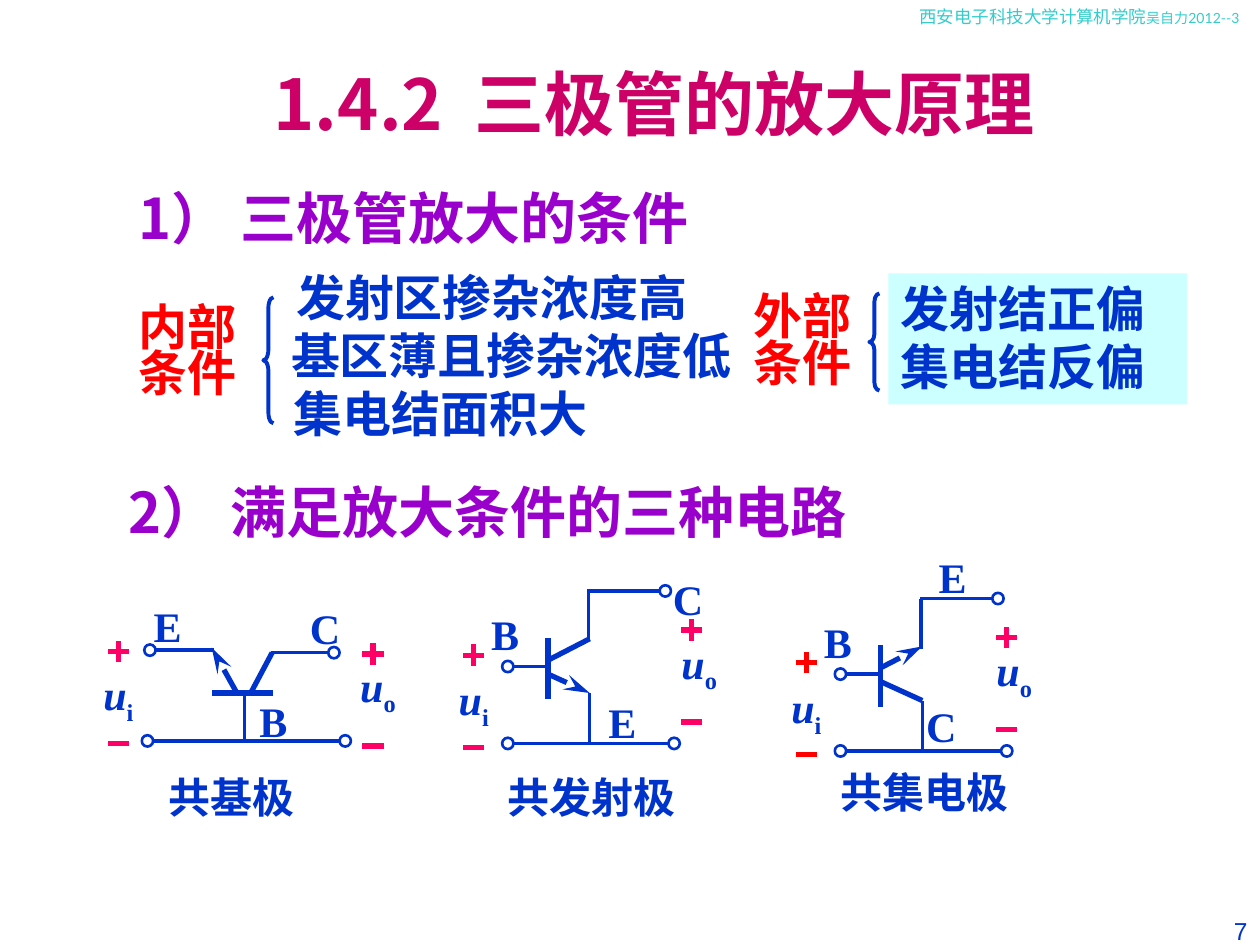
from pptx import Presentation
from pptx.dml.color import RGBColor
from pptx.enum.shapes import MSO_CONNECTOR, MSO_SHAPE
from pptx.enum.text import MSO_ANCHOR, MSO_AUTO_SIZE, PP_ALIGN
from pptx.oxml.ns import qn
from pptx.util import Inches, Pt
from lxml.etree import SubElement

HEX = {"blue": "0033CC", "red": "FF0000", "pink": "FF0066", "rose": "CC0066",
       "violet": "9900CC", "teal": "33CCCC", "ice": "CCFFFF", "white": "FFFFFF"}
SERIF, SANS = "Times New Roman", "Noto Sans CJK SC"
LEAD = 1.18  # line height as a share of the text size


def color(name):
    return RGBColor.from_string(HEX[name])


def style(run, size, tint, face=SERIF, bold=True):
    run.font.size, run.font.name, run.font.bold = Pt(size), face, bold
    run.font.color.rgb = color(tint)


def place(shape, box):
    shape.left, shape.top, shape.width, shape.height = map(Inches, box)


def fill_text(shape, text, size, tint, face=SERIF, lead=LEAD, align=PP_ALIGN.LEFT):
    """Write the lines of a text into a shape, all in one style."""
    frame = shape.text_frame
    frame.text = text
    frame.word_wrap = True
    frame.auto_size = MSO_AUTO_SIZE.NONE
    frame.vertical_anchor = MSO_ANCHOR.TOP
    for para in frame.paragraphs:
        para.alignment = align
        para.space_before = Pt(0)
        para.line_spacing = Pt(size * lead)
        for run in para.runs:
            style(run, size, tint, face)


def add_box(slide, box):
    return slide.shapes.add_textbox(*map(Inches, box))


def add_text(slide, box, *args, **more):
    fill_text(add_box(slide, box), *args, **more)


def fill_list(shape, box, lines, indents):
    """Place a body placeholder as a list without bullets."""
    place(shape, box)
    fill_text(shape, "\n".join(lines), 28, "blue")
    for para, indent in zip(shape.text_frame.paragraphs, indents):
        props = para._p.get_or_add_pPr()
        props.set("marL", str(Inches(indent)))
        props.set("indent", "0")
        SubElement(props, qn("a:buNone"))


def add_brace(slide, x, y, high, wide=0.08):
    brace = slide.shapes.add_shape(MSO_SHAPE.LEFT_BRACE, *map(Inches, (x, y, wide, high)))
    brace.shadow.inherit = False
    brace.fill.background()
    brace.line.color.rgb, brace.line.width = color("blue"), Pt(2.25)
    brace.adjustments[0] = high / 12 / wide


class Circuit:
    """Draws circuit parts relative to the corner of a box."""

    def __init__(self, slide, x, y):
        self.slide, self.x, self.y = slide, x, y

    def wire(self, x1, y1, x2, y2, width=2, tint="blue", arrow=False):
        ends = (self.x + x1, self.y + y1, self.x + x2, self.y + y2)
        line = self.slide.shapes.add_connector(MSO_CONNECTOR.STRAIGHT, *map(Inches, ends))
        line.line.color.rgb, line.line.width = color(tint), Pt(width)
        if arrow:
            SubElement(line.line._get_or_add_ln(), qn("a:tailEnd"),
                       type="stealth", w="med", len="lg")
        SubElement(line._element.spPr, qn("a:effectLst"))

    def node(self, x, y, size=0.09):
        box = (self.x + x - size / 2, self.y + y - size / 2, size, size)
        dot = self.slide.shapes.add_shape(MSO_SHAPE.OVAL, *map(Inches, box))
        dot.shadow.inherit = False
        dot.fill.solid()
        dot.fill.fore_color.rgb = color("white")
        dot.line.color.rgb, dot.line.width = color("blue"), Pt(1.5)

    def label(self, x, y, text, sub=""):
        """Centre a letter, with an optional subscript, on x."""
        box = add_box(self.slide, (self.x + x - 0.3, self.y + y, 0.6, 0.5))
        para = box.text_frame.paragraphs[0]
        para.alignment = PP_ALIGN.CENTER
        for part in filter(None, (text, sub)):
            run = para.add_run()
            run.text = part
            style(run, 24, "blue")
            run.font.italic = bool(sub) and part == text
        if sub:
            run.font._element.set("baseline", "-25000")

    def port(self, x, y, sub, dx, dy, tint="pink"):
        """Plus sign above, minus sign below, voltage between them."""
        arm = 0.085
        for level in (y, y + 0.73):
            self.wire(x - arm, level, x + arm, level, 3, tint)
        self.wire(x, y + arm, x, y - arm, 3, tint)
        self.label(x + dx, y + dy, "u", sub)

    def title(self, x, y, text):
        add_text(self.slide, (self.x + x, self.y + y, 2, 0.5), text, 24, "blue")


def draw_base(slide, x, y):
    """Common base stage: transistor lying on its side."""
    part = Circuit(slide, x, y)
    part.wire(1.45, 0.8, 0.96, 0.8, 3)
    part.wire(1.27, 0.8, 1.44, 0.48, 3)
    part.wire(1.16, 0.8, 0.96, 0.44, 3, arrow=True)
    part.wire(1.22, 0.8, 1.22, 1.19)
    part.wire(1.43, 0.48, 1.89, 0.48)
    part.wire(0.98, 0.46, 0.52, 0.46)
    part.wire(0.47, 1.18, 1.98, 1.18, 2.25)
    for spot in ((2.02, 1.18), (1.93, 0.48), (0.47, 0.46), (0.45, 1.18)):
        part.node(*spot)
    part.port(0.22, 0.47, "i", 0, 0.09)
    part.port(2.24, 0.49, "o", 0.04, 0)
    for spot in ((1.86, 0.03, "C"), (0.61, 0.02, "E"), (1.45, 0.77, "B")):
        part.label(*spot)
    part.title(0.52, 1.38, "共基极")


def draw_stage(slide, x, y, upper, lower, out, name, drop, tint):
    """Upright stage; the arrow sits on the emitter leg."""
    part = Circuit(slide, x, y)
    part.wire(0.82, 0.56, 0.82, 1.05, 3)
    part.wire(0.82, 0.74, 1.15, 0.57, 3, arrow=upper[0] == "E")
    part.wire(0.82, 0.85, 1.15, 1, 3, arrow=lower[0] == "E")
    part.wire(0.82, 0.79, 0.54, 0.79)
    part.wire(1.14, 0.59, 1.14, 0.19)
    part.wire(1.13, 0.19, 1.73, 0.19)
    part.wire(1.15, 1, 1.15, 1.4)
    part.wire(0.53, 1.4, 1.82, 1.4)
    for spot in ((0.5, 0.79), (0.5, 1.4), (1.75, 0.19), (1.82, 1.4)):
        part.node(*spot)
    part.port(0.23, 0.7, "i", 0, 0.1, tint)
    part.port(out, 0.5, "o", 0.06, 0.01)
    part.label(0.48, 0.28, "B")
    for letter, across, down in (upper, lower):
        part.label(across, down, letter)
    part.title(0.4, drop, name)


def draw_terms(slide):
    """Inner and outer conditions, each with its brace and list."""
    for x, y, text in ((1, 2.4, "内部\n条件"), (5.88, 2.32, "外部\n条件")):
        add_text(slide, (x, y, 1.1, 0.85), text, 28, "red", lead=0.8 * LEAD)
    add_brace(slide, 2.09, 2.36, 1)
    add_brace(slide, 6.9, 2.33, 0.77)
    inner, outer = slide.placeholders[1], slide.placeholders[2]
    fill_list(inner, (2.21, 2.08, 4.53, 1.48),
              ["发射区掺杂浓度高", "基区薄且掺杂浓度低", "集电结面积大"], (0.04, 0, 0.02))
    fill_list(outer, (7.05, 2.17, 2.37, 1.04), ["发射结正偏", "集电结反偏"], (0, 0))
    outer.fill.solid()
    outer.fill.fore_color.rgb = color("ice")


def draw_edges(slide):
    """Header line and page number."""
    para = add_box(slide, (7.2, 0, 2.8, 0.27)).text_frame.paragraphs[0]
    for text, size in (("西安电子科技大学计算机学院", 10), ("吴自力2012--3", 8)):
        run = para.add_run()
        run.text = text
        style(run, size, "teal", "Lato", False)
    para = add_box(slide, (9.58, 7.22, 0.42, 0.28)).text_frame.paragraphs[0]
    para.alignment = PP_ALIGN.RIGHT
    run = para.add_run()
    run.text = "7"
    style(run, 14, "blue", "Arial", False)


def main():
    deck = Presentation()
    deck.slide_width, deck.slide_height = Inches(10), Inches(7.5)
    slide = deck.slides.add_slide(deck.slide_layouts[3])
    draw_edges(slide)

    # Title and section headings
    place(slide.shapes.title, (0.9, 0.44, 8.58, 0.77))
    fill_text(slide.shapes.title, "1.4.2  三极管的放大原理", 40, "rose", SANS,
              align=PP_ALIGN.CENTER)
    add_text(slide, (1, 1.42, 4.87, 0.64), "1） 三极管放大的条件", 32, "violet", SANS)
    add_text(slide, (0.92, 3.75, 6.14, 0.64), "2） 满足放大条件的三种电路", 32, "violet", SANS)

    # Conditions, then the three circuits
    draw_terms(slide)
    draw_base(slide, 0.72, 4.7)
    draw_stage(slide, 3.53, 4.5, ("C", 1.93, 0), ("E", 1.41, 0.98),
               1.96, "共发射极", 1.58, "pink")
    draw_stage(slide, 6.17, 4.56, ("E", 1.39, -0.23), ("C", 1.3, 0.95),
               1.82, "共集电极", 1.48, "red")
    deck.save("out.pptx")


if __name__ == "__main__":
    main()
